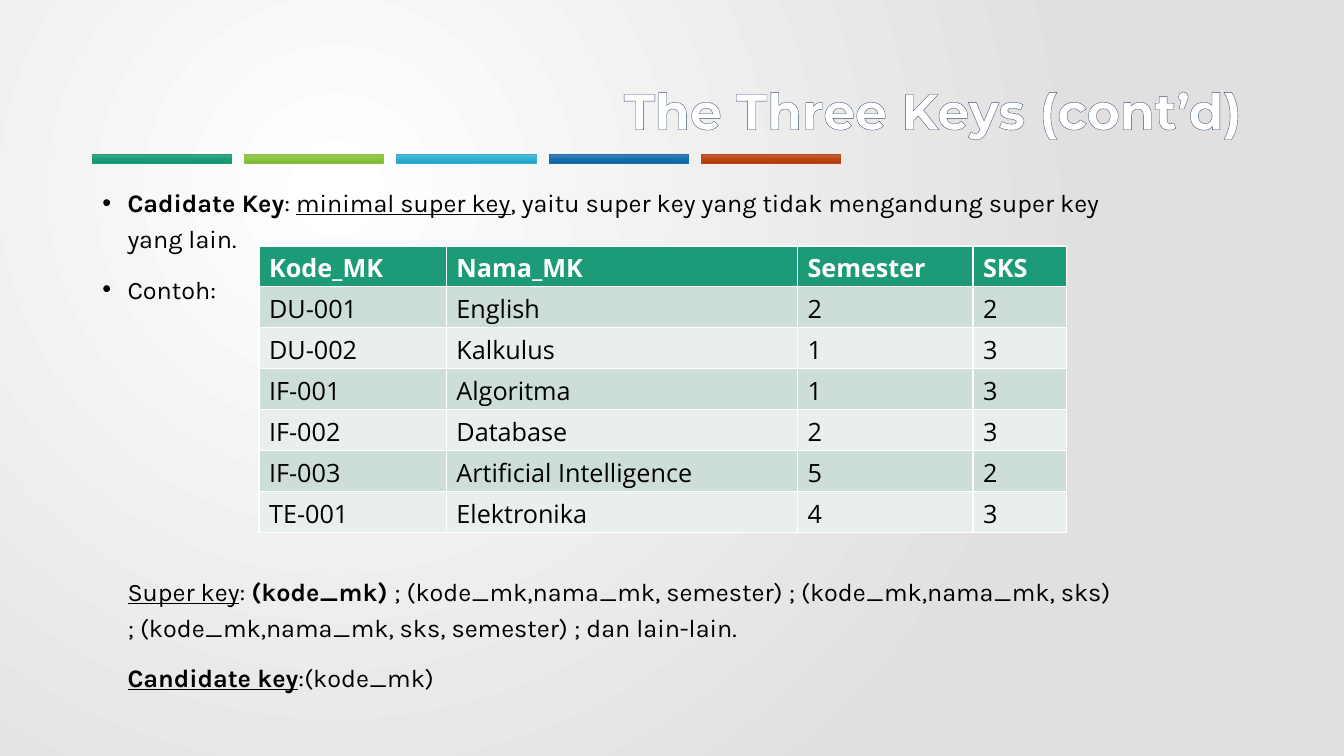
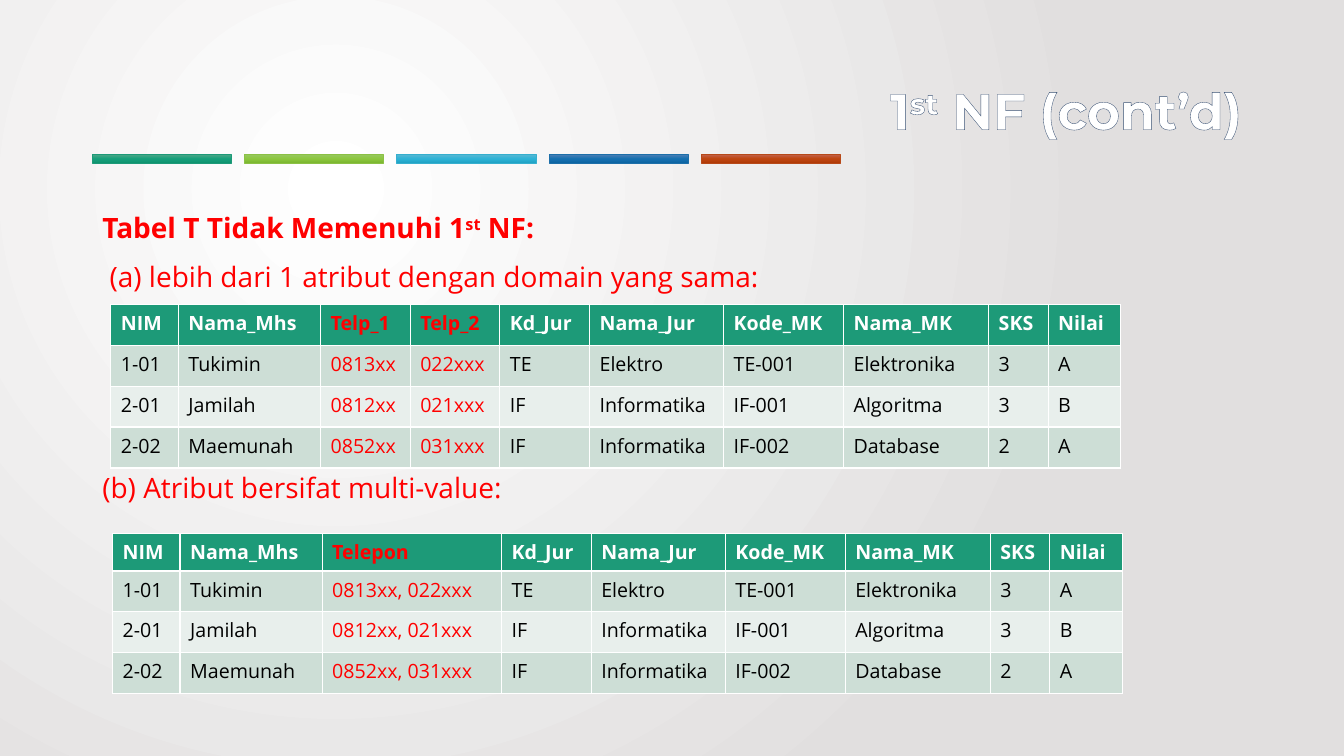
from copy import deepcopy

from lxml import etree
from pptx import Presentation
from pptx import util as u
from pptx.dml.color import RGBColor
from pptx.enum import shapes, text
from pptx.oxml import ns

WHITE = RGBColor(0xFF, 0xFF, 0xFF)
BLACK = RGBColor(0x00, 0x00, 0x00)
RED = RGBColor(0xFF, 0x00, 0x00)
GREY = RGBColor(0xE1, 0xDF, 0xDF)
GREEN = RGBColor(0x1D, 0x9A, 0x78)
BAND_DARK = RGBColor(0xCD, 0xDE, 0xD6)
BAND_LIGHT = RGBColor(0xE8, 0xEF, 0xEC)
TITLE_OUTLINE = "3A5274"
STRIPES = [
    (RGBColor(0x4E, 0xA7, 0x88), RGBColor(0x17, 0xA0, 0x7B), RGBColor(0x0F, 0x94, 0x70), GREEN),
    (RGBColor(0x98, 0xC8, 0x62), RGBColor(0x8C, 0xC7, 0x3F), RGBColor(0x7D, 0xB8, 0x31), RGBColor(0x8B, 0xC1, 0x45)),
    (RGBColor(0x59, 0xB8, 0xD4), RGBColor(0x2E, 0xB3, 0xD6), RGBColor(0x21, 0xA4, 0xC6), RGBColor(0x36, 0xAF, 0xCE)),
    (RGBColor(0x4E, 0x80, 0xB5), RGBColor(0x16, 0x70, 0xB0), RGBColor(0x0D, 0x65, 0xA3), RGBColor(0x1D, 0x6F, 0xA9)),
    (RGBColor(0xC2, 0x63, 0x4D), RGBColor(0xBF, 0x46, 0x11), RGBColor(0xB1, 0x3B, 0x08), RGBColor(0xB7, 0x49, 0x19)),
]

deck = Presentation()
deck.slide_width, deck.slide_height = u.Inches(13.3333), u.Inches(7.5)
CELL = deck.slide_height / 90
MARGIN = 11


def write(paragraph, pieces, font, size, color):
    for words, marks in pieces:
        run = paragraph.add_run()
        run.text = words
        run.font.name, run.font.size = font, u.Pt(size)
        run.font.bold = "b" in marks
        run.font.underline = "u" in marks
        run.font.color.rgb = color
        if "^" in marks:
            run.font._element.set("baseline", "30000")


def tabulate(slide, left, top, widths, heights, records, size, alerts=()):
    frame = slide.shapes.add_table(
        len(records), len(widths), round(left * CELL), round(top * CELL),
        round(sum(widths) * CELL), round(sum(heights) * CELL))
    grid = frame.table
    for column, width in zip(grid.columns, widths):
        column.width = round(width * CELL)
    for r, (record, height) in enumerate(zip(records, heights)):
        grid.rows[r].height = round(height * CELL)
        for c, value in enumerate(record):
            cell = grid.cell(r, c)
            cell.fill.solid()
            cell.fill.fore_color.rgb = GREEN if r == 0 else BAND_DARK if r % 2 else BAND_LIGHT
            ink = RED if c in alerts else BLACK if r else WHITE
            write(cell.text_frame.paragraphs[0], [(value, "" if r else "b")], "Open Sans", size, ink)


master = deck.slide_master
backdrop = master.background.fill
backdrop.gradient()
for stop, shade in zip(backdrop.gradient_stops, (WHITE, GREY)):
    stop.color.rgb = shade
for direction in master.element.xpath(".//p:bgPr/a:gradFill/a:lin"):
    glow = etree.Element(ns.qn("a:path"), path="circle")
    etree.SubElement(glow, ns.qn("a:fillToRect"), l="50000", t="50000", r="100000", b="100000")
    direction.getparent().replace(direction, glow)

titles = [
    [("The Three Keys (cont’d)", "b")],
    [("1", "b"), ("st", "b^"), (" NF (cont’d)", "b")],
]
bodies = [
    dict(top=21, width=123, height=62.4, font="Karla", size=18, color=BLACK, leading=1.2, paragraphs=[
        ("•", 0, [("Cadidate Key", "b"), (": ", ""), ("minimal super key", "u"),
                  (", yaitu super key yang tidak mengandung super key yang lain.", "")]),
        ("•", 10, [("Contoh:", "")]),
        ("", 190, [("Super key", "u"), (": ", ""), ("(kode_mk) ", "b"),
                   ("; (kode_mk,nama_mk, semester) ; (kode_mk,nama_mk, sks) ; "
                    "(kode_mk,nama_mk, sks, semester) ; dan lain-lain.", "")]),
        ("", 10, [("Candidate key", "bu"), (":(kode_mk)", "")]),
    ]),
    dict(top=24, width=138, height=57, font="Open Sans", size=20, color=RED, leading=1.12, paragraphs=[
        (None, 0, [("Tabel T Tidak Memenuhi 1", "b"), ("st", "b^"), (" NF:", "b")]),
        (None, 8, [(" (a) lebih dari 1 atribut dengan domain yang sama:", "")]),
        (None, 124, [("(b) Atribut bersifat multi-value:", "")]),
    ]),
]

for heading, body in zip(titles, bodies):
    slide = deck.slides.add_slide(deck.slide_layouts[6])
    for i, (*shades, edge) in enumerate(STRIPES):
        stripe = slide.shapes.add_shape(
            shapes.MSO_SHAPE.RECTANGLE, round((MARGIN + i * 18.12) * CELL), round(18.4 * CELL),
            round(16.56 * CELL), round(CELL))
        stripe.shadow.inherit = False
        stripe.fill.gradient()
        stripe.fill.gradient_angle = 270
        first = stripe._element.xpath(".//a:gs")[0]
        first.addnext(deepcopy(first))
        for stop, shade, place in zip(stripe.fill.gradient_stops, shades, (0, 0.5, 1)):
            stop.color.rgb, stop.position = shade, place
        stripe.line.color.rgb, stripe.line.width = edge, u.Pt(0.5)

    title = slide.shapes.add_textbox(*(round(n * CELL) for n in (MARGIN, 4.8, 138, 17.4))).text_frame
    title.word_wrap, title.vertical_anchor = True, text.MSO_ANCHOR.MIDDLE
    headline = title.paragraphs[0]
    headline.alignment, headline.line_spacing = text.PP_ALIGN.RIGHT, 0.9
    write(headline, heading, "Montserrat", 36, WHITE)
    for run in headline.runs:
        outline = etree.Element(ns.qn("a:ln"), w="12700")
        ink = etree.SubElement(outline, ns.qn("a:solidFill"))
        etree.SubElement(ink, ns.qn("a:srgbClr"), val=TITLE_OUTLINE)
        run.font._element.insert(0, outline)

    area = (MARGIN, body["top"], body["width"], body["height"])
    content = slide.shapes.add_textbox(*(round(n * CELL) for n in area)).text_frame
    content.word_wrap = True
    for i, (bullet, gap, pieces) in enumerate(body["paragraphs"]):
        paragraph = content.add_paragraph() if i else content.paragraphs[0]
        if bullet is not None:
            settings = paragraph._p.get_or_add_pPr()
            settings.set("marL", str(round(3 * CELL)))
            settings.set("indent", str(round(-3 * CELL) if bullet else 0))
            if bullet:
                etree.SubElement(settings, ns.qn("a:buFont"), typeface="Arial")
                etree.SubElement(settings, ns.qn("a:buChar"), char=bullet)
        paragraph.line_spacing = body["leading"]
        if gap:
            paragraph.space_before = u.Pt(gap)
        write(paragraph, pieces, body["font"], body["size"], body["color"])

keys_slide, normal_form_slide = deck.slides

courses = [
    ("Kode_MK", "Nama_MK", "Semester", "SKS"),
    ("DU-001", "English", "2", "2"),
    ("DU-002", "Kalkulus", "1", "3"),
    ("IF-001", "Algoritma", "1", "3"),
    ("IF-002", "Database", "2", "3"),
    ("IF-003", "Artificial Intelligence", "5", "2"),
    ("TE-001", "Elektronika", "4", "3"),
]
ROW = 4.87
tabulate(keys_slide, 30.84, 29.28, [22.3, 41.8, 20.9, 11.12], [ROW] * 7, courses, 18)

students = [
    (["NIM", "Nama_Mhs"], ["Telp_1", "Telp_2"],
     ["Kd_Jur", "Nama_Jur", "Kode_MK", "Nama_MK", "SKS", "Nilai"]),
    (["1-01", "Tukimin"], ["0813xx", "022xxx"], ["TE", "Elektro", "TE-001", "Elektronika", "3", "A"]),
    (["2-01", "Jamilah"], ["0812xx", "021xxx"], ["IF", "Informatika", "IF-001", "Algoritma", "3", "B"]),
    (["2-02", "Maemunah"], ["0852xx", "031xxx"], ["IF", "Informatika", "IF-002", "Database", "2", "A"]),
]
identity_widths, phone_width = [8.04, 16.92], 10.68
study_widths = [10.68, 15.96, 14.28, 17.28, 7.08, 8.64]
separate = [identity + phones + study for identity, phones, study in students]
combined = [identity + [", ".join(phones) if i else "Telepon"] + study
            for i, (identity, phones, study) in enumerate(students)]
tabulate(normal_form_slide, 13.2, 36.24, identity_widths + [phone_width] * 2 + study_widths,
         [ROW] * 4, separate, 14, alerts=(2, 3))
tabulate(normal_form_slide, 13.4, 63.5, identity_widths + [phone_width * 2] + study_widths,
         [4.48] + [ROW] * 3, combined, 14, alerts=(2,))

deck.save("out.pptx")
